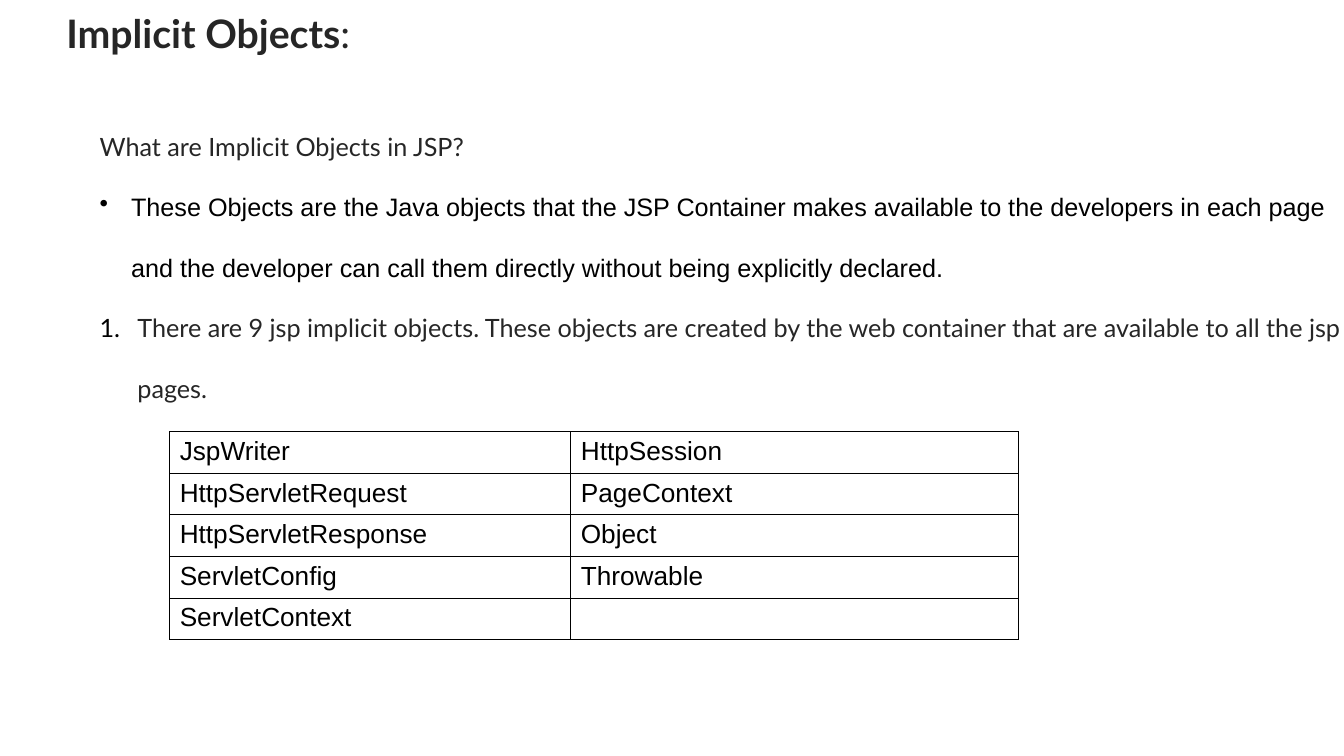
import pptx
import pptx.util
import pptx.dml.color
import pptx.enum.text
import pptx.oxml.ns
import lxml.etree

Pt = pptx.util.Pt
DARK = pptx.dml.color.RGBColor(0x26, 0x26, 0x26)
BLACK = pptx.dml.color.RGBColor(0, 0, 0)

QUESTION = "What are Implicit Objects in JSP?"
DEFINITION = (
    "These Objects are the Java objects that the JSP Container makes available "
    "to the developers in each page and the developer can call them directly "
    "without being explicitly declared."
)
COUNT = (
    "There are 9 jsp implicit objects. These objects are created by the web "
    "container that are available to all the jsp pages."
)
OBJECT_TYPES = [
    ("JspWriter", "HttpSession"),
    ("HttpServletRequest", "PageContext"),
    ("HttpServletResponse", "Object"),
    ("ServletConfig", "Throwable"),
    ("ServletContext", ""),
]
COLUMN_WIDTHS = (286.5, 320)
ROW_HEIGHT = 29.65


def add_xml(parent, tag, **attributes):
    return lxml.etree.SubElement(parent, pptx.oxml.ns.qn(tag), attributes)


def style_text(para, font_name, size, color, bold=False):
    for span in para.runs:
        span.font.name = font_name
        span.font.size = Pt(size)
        span.font.bold = bold
        span.font.color.rgb = color


def add_text_box(page, left, top, width, height):
    box = page.shapes.add_textbox(Pt(left), Pt(top), Pt(width), Pt(height))
    box.text_frame.word_wrap = True
    return box.text_frame


def add_title(page):
    frame = add_text_box(page, 40.3, 1.4, 680, 44)
    frame.vertical_anchor = pptx.enum.text.MSO_ANCHOR.MIDDLE
    para = frame.paragraphs[0]
    para.text = "Implicit Objects"
    colon = para.add_run()
    colon.text = ":"
    style_text(para, "Lato", 28, DARK, bold=True)
    colon.font.bold = False


def add_marker(para, indent, tag, **attributes):
    """Give a paragraph a hanging indent and a black bullet or number."""
    properties = para._p.get_or_add_pPr()
    properties.set("marL", str(Pt(indent)))
    properties.set("indent", str(-Pt(indent)))
    color = add_xml(properties, "a:buClr")
    add_xml(color, "a:srgbClr", val=str(BLACK))
    add_xml(properties, tag, **attributes)


def add_body(page):
    frame = add_text_box(page, 64.1, 68.4, 911.5, 436.3)
    frame.text = "\n".join((QUESTION, DEFINITION, COUNT))
    question, definition, count = frame.paragraphs
    for para in frame.paragraphs:
        para.line_spacing = 2.0
        style_text(para, "Lato", 18, DARK)
    style_text(definition, "Arial", 18, BLACK)
    add_marker(definition, 22.5, "a:buChar", char="•")
    add_marker(count, 27, "a:buAutoNum", type="arabicPeriod")


def set_borders(cell):
    properties = cell._tc.get_or_add_tcPr()
    for side in ("a:lnL", "a:lnR", "a:lnT", "a:lnB"):
        line = add_xml(properties, side, w=str(Pt(0.75)))
        fill = add_xml(line, "a:solidFill")
        add_xml(fill, "a:srgbClr", val=str(BLACK))


def add_object_table(page):
    frame = page.shapes.add_table(
        len(OBJECT_TYPES), len(COLUMN_WIDTHS), Pt(121.2), Pt(308.4),
        Pt(sum(COLUMN_WIDTHS)), Pt(ROW_HEIGHT * len(OBJECT_TYPES)))
    table = frame.table
    table.first_row = False
    table.horz_banding = False
    for column, width in zip(table.columns, COLUMN_WIDTHS):
        column.width = Pt(width)
    for row, names in zip(table.rows, OBJECT_TYPES):
        row.height = Pt(ROW_HEIGHT)
        for cell, name in zip(row.cells, names):
            set_borders(cell)
            cell.fill.background()
            if name:
                cell.text_frame.text = name
                style_text(cell.text_frame.paragraphs[0], "Arial", 18.7, BLACK)


def main():
    deck = pptx.Presentation()
    deck.slide_width = Pt(960)
    deck.slide_height = Pt(540)
    page = deck.slides.add_slide(deck.slide_layouts[6])

    # Heading
    add_title(page)
    # Explanation
    add_body(page)
    # Types of the implicit objects
    add_object_table(page)

    deck.save("out.pptx")


if __name__ == "__main__":
    main()
